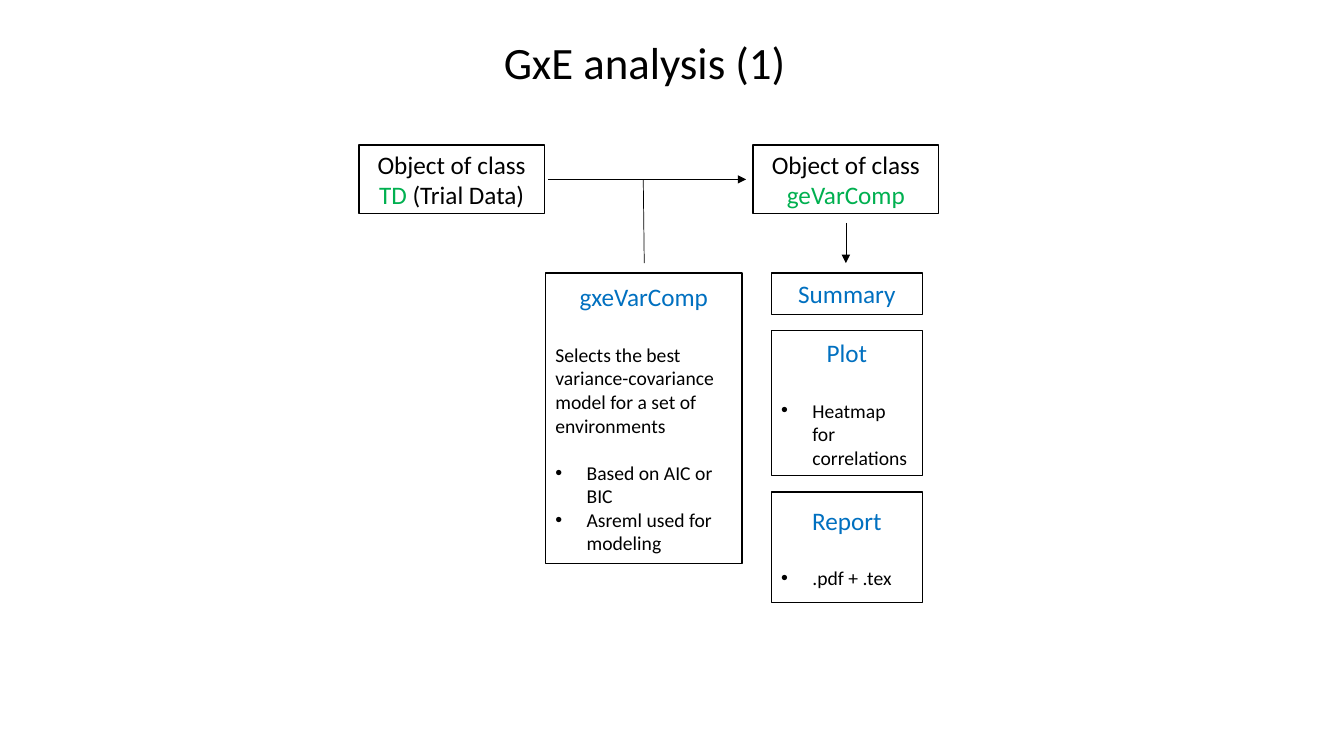
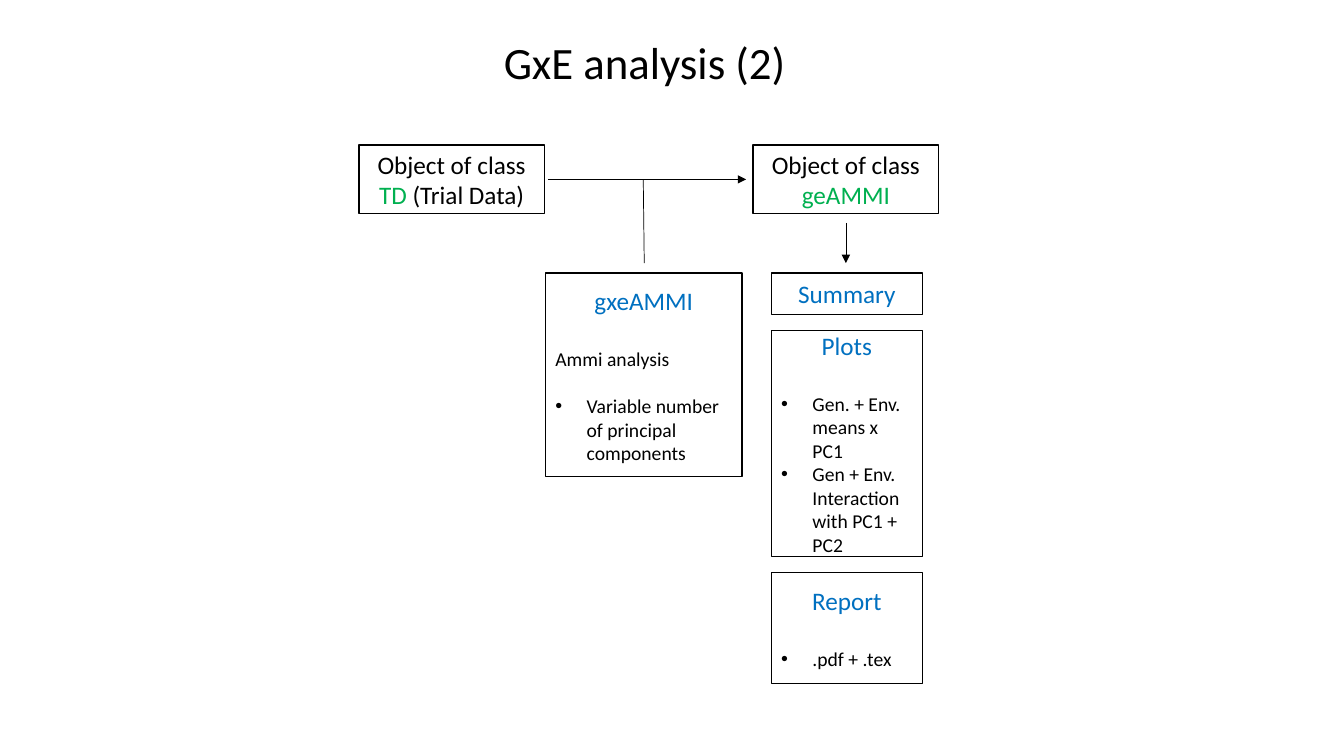
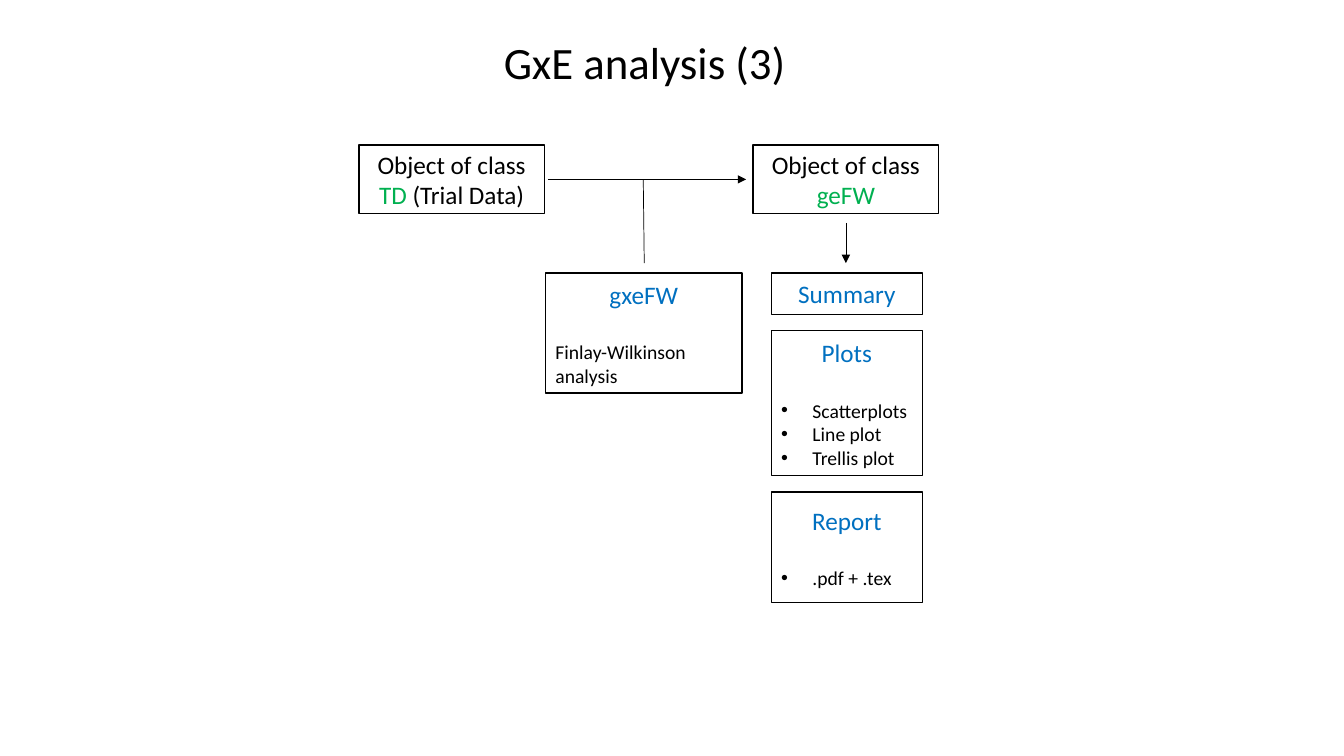
import lxml.etree
import pptx
import pptx.dml.color
import pptx.enum.shapes
import pptx.enum.text
import pptx.oxml.ns
import pptx.util

PX = 9144  # EMU per px, 100 px to the inch
COLORS = {"ink": "000000", "paper": "FFFFFF", "class": "00B050", "function": "0070C0"}
ALIGN = pptx.enum.text.PP_ALIGN
qn = pptx.oxml.ns.qn


def rgb(name):
    return pptx.dml.color.RGBColor.from_string(COLORS[name])


class Deck:
    font = "Calibri"
    title_size, head_size, body_size = 32, 18, 14
    line_spacing = 1.22  # height of one line relative to its size
    indent = 31

    def __init__(self, width, height):
        self.prs = pptx.Presentation()
        self.prs.slide_width = width * PX
        self.prs.slide_height = height * PX
        self.slide = None

    def new_slide(self, title):
        self.slide = self.prs.slides.add_slide(self.prs.slide_layouts[6])
        box = self.slide.shapes.add_textbox(147 * PX, 30 * PX, 985 * PX, 64 * PX)
        frame = box.text_frame
        frame.word_wrap = True
        frame.auto_size = pptx.enum.text.MSO_AUTO_SIZE.SHAPE_TO_FIT_TEXT
        self.add_runs(frame.paragraphs[0], [(title, "ink")], self.title_size, ALIGN.CENTER)

    def add_runs(self, paragraph, runs, size, align):
        paragraph.alignment = align
        for text, color in runs:
            run = paragraph.add_run()
            run.text = text
            run.font.name = self.font
            run.font.size = pptx.util.Pt(size)
            run.font.color.rgb = rgb(color)

    def box(self, left, top, width, height, heading, text=None, bullets=()):
        """Bordered box: centred heading, then optional text and bullets."""
        shape = self.slide.shapes.add_shape(
            pptx.enum.shapes.MSO_SHAPE.RECTANGLE,
            left * PX, top * PX, width * PX, height * PX)
        shape.shadow.inherit = False
        shape.fill.solid()
        shape.fill.fore_color.rgb = rgb("paper")
        shape.line.color.rgb = rgb("ink")
        shape.line.width = pptx.util.Pt(1)
        frame = shape.text_frame
        frame.word_wrap = True
        frame.vertical_anchor = pptx.enum.text.MSO_ANCHOR.MIDDLE
        self.add_runs(frame.paragraphs[0], heading, self.head_size, ALIGN.CENTER)
        gap = self.head_size
        if text:
            self.body(frame, text, gap)
            gap = self.body_size
        for bullet in bullets:
            self.bullet(self.body(frame, bullet, gap))
            gap = 0

    def body(self, frame, text, gap):
        """Left-aligned paragraph, set off by one line of size gap."""
        paragraph = frame.add_paragraph()
        paragraph.space_before = pptx.util.Pt(round(gap * self.line_spacing))
        self.add_runs(paragraph, [(text, "ink")], self.body_size, ALIGN.LEFT)
        return paragraph

    def bullet(self, paragraph):
        props = paragraph._p.get_or_add_pPr()
        props.set("marL", str(self.indent * PX))
        props.set("indent", str(-self.indent * PX))
        lxml.etree.SubElement(props, qn("a:buFont")).set("typeface", "Arial")
        lxml.etree.SubElement(props, qn("a:buChar")).set("char", "•")

    def line(self, x1, y1, x2, y2, arrow=False, group=None):
        shapes = (group or self.slide).shapes
        line = shapes.add_connector(
            pptx.enum.shapes.MSO_CONNECTOR.STRAIGHT, x1 * PX, y1 * PX, x2 * PX, y2 * PX)
        line.line.color.rgb = rgb("ink")
        line.line.width = pptx.util.Pt(0.5)
        props = line._element.spPr
        if arrow:
            outline = props.get_or_add_ln()
            lxml.etree.SubElement(outline, qn("a:tailEnd")).set("type", "triangle")
        lxml.etree.SubElement(props, qn("a:effectLst"))

    def class_box(self, left, *class_runs):
        self.box(left, 144, 184, 68, [("Object of class ", "ink"), *class_runs])

    def analysis(self, number, suffix, function_height, text, steps,
                 plot_heading, plot_height, plots):
        """One slide: input class, function applied, result class, its outputs."""
        self.new_slide(f"GxE analysis ({number})")

        # Input to result, with the function feeding in from below
        self.class_box(356, ("TD", "class"), (" (Trial Data)", "ink"))
        flow = self.slide.shapes.add_group_shape()
        self.line(544, 178, 740, 178, arrow=True, group=flow)
        self.line(638, 178, 639, 261, group=flow)
        self.box(541, 271, 195, function_height,
                 [("gxe" + suffix, "function")], text, steps)
        self.class_box(747, ("ge" + suffix, "class"))

        # Outputs of the result, stacked with equal gaps
        self.line(839, 221, 839, 261, arrow=True)
        top = 271
        for heading, height, bullets in (("Summary", 41, ()),
                                         (plot_heading, plot_height, plots),
                                         ("Report", 110, (".pdf + .tex",))):
            self.box(765, top, 150, height, [(heading, "function")], bullets=bullets)
            top += height + 16


def main():
    deck = Deck(1333, 750)
    deck.analysis(
        1, "VarComp", 288,
        "Selects the best variance-covariance model for a set of environments",
        ("Based on AIC or BIC", "Asreml used for modeling"),
        "Plot", 144, ("Heatmap for correlations",))
    deck.analysis(
        2, "AMMI", 202, "Ammi analysis",
        ("Variable number of principal components",),
        "Plots", 224,
        ("Gen. + Env. means x PC1", "Gen + Env. Interaction with PC1 + PC2"))
    deck.analysis(
        3, "FW", 119, "Finlay-Wilkinson analysis", (),
        "Plots", 144, ("Scatterplots", "Line plot", "Trellis plot"))
    deck.prs.save("out.pptx")


if __name__ == "__main__":
    main()
